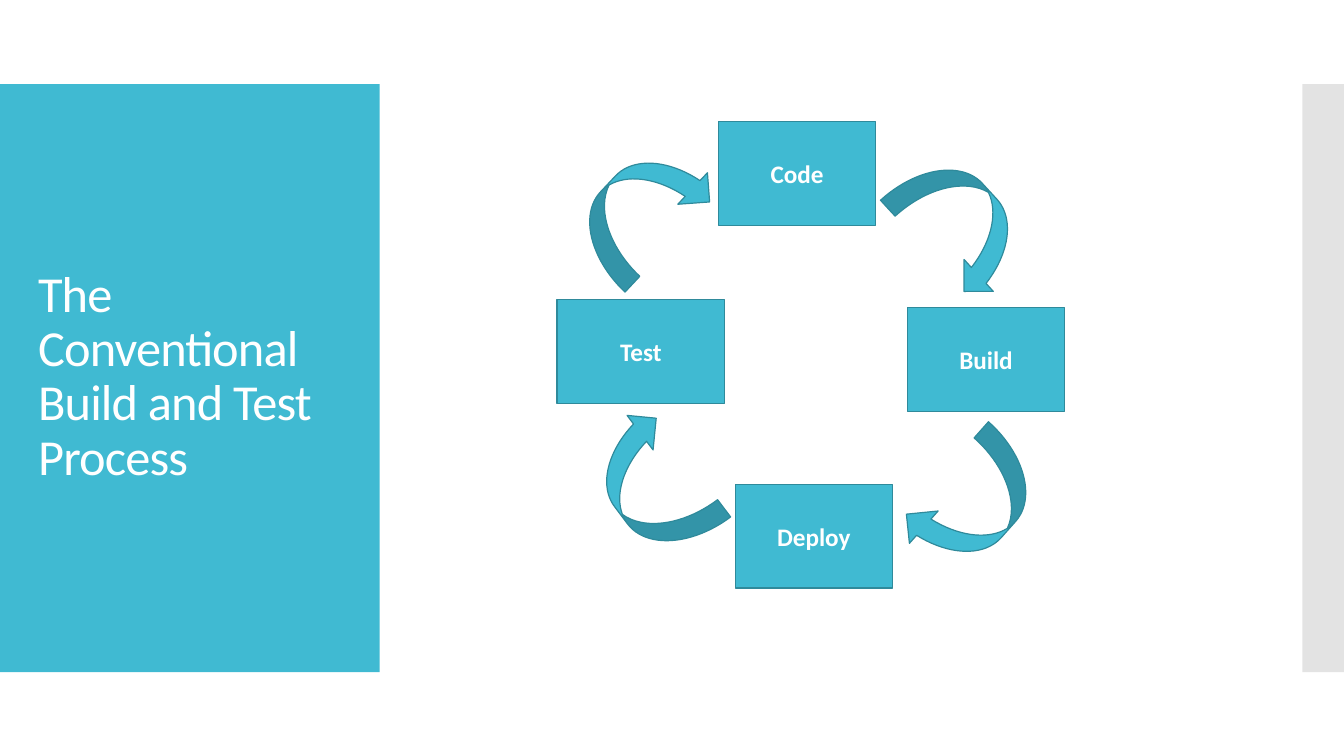
from lxml import etree
from pptx import Presentation
from pptx.dml.color import RGBColor
from pptx.enum.shapes import MSO_SHAPE
from pptx.enum.text import MSO_ANCHOR, PP_ALIGN
from pptx.oxml.ns import qn
from pptx.util import Cm, Pt

RECTANGLE = MSO_SHAPE.RECTANGLE
CURVED_ARROW = MSO_SHAPE.CURVED_DOWN_ARROW
MIDDLE = MSO_ANCHOR.MIDDLE
LEFT, CENTER = PP_ALIGN.LEFT, PP_ALIGN.CENTER

COLORS = {"teal": "40BAD2", "outline": "2F8A9B", "gray": "C8C8C8", "white": "FFFFFF"}
FONT = "Calibri"

PANEL_TOP, PANEL_HEIGHT = 2.12, 14.82
STEP_HEIGHT = 2.62
ARROW_WIDTH, ARROW_HEIGHT = 3.66, 2.18

# label, left, top, width
STEPS = [
    ("Code", 18.11, 3.06, 3.96),
    ("Deploy", 18.53, 12.2, 3.96),
    ("Build", 22.87, 7.75, 3.96),
    ("Test", 14.04, 7.55, 4.22),
]
# left, top, rotation
ARROWS = [
    (22.4, 4.57, 47.5),
    (22.68, 11.63, 131.6),
    (14.61, 11.13, 233),
    (14.38, 4.19, 313.2),
]


def color(name):
    return RGBColor.from_string(COLORS[name])


def write_text(shape, text, size, bold=False, align=LEFT, line_spacing=None, tracking=None):
    frame = shape.text_frame
    frame.word_wrap = True
    frame.vertical_anchor = MIDDLE
    para = frame.paragraphs[0]
    para.alignment = align
    if line_spacing:
        para.line_spacing = line_spacing
    span = para.add_run()
    span.text = text
    span.font.name = FONT
    span.font.size = Pt(size)
    span.font.bold = bold
    span.font.color.rgb = color("white")
    if tracking:
        span.font._element.set("spc", str(round(tracking * 100)))


class CycleSlide:
    """Holds the current slide and the style shared by its elements."""

    def __init__(self, deck):
        self.shapes = deck.slides.add_slide(deck.slide_layouts[6]).shapes

    def shape(self, kind, left, top, width, height, fill="teal", outline=None):
        shape = self.shapes.add_shape(kind, Cm(left), Cm(top), Cm(width), Cm(height))
        shape.shadow.inherit = False
        shape.fill.solid()
        shape.fill.fore_color.rgb = color(fill)
        if outline:
            shape.line.color.rgb = color(outline)
            shape.line.width = Pt(0.85)
        else:
            shape.line.fill.background()
        return shape

    def panel(self, left, width, fill, opacity=100):
        panel = self.shape(RECTANGLE, left, PANEL_TOP, width, PANEL_HEIGHT, fill)
        if opacity < 100:
            fill_color = panel._element.spPr.find(qn("a:solidFill"))[0]
            etree.SubElement(fill_color, qn("a:alpha"), val=str(opacity * 1000))

    def title(self, text):
        box = self.shapes.add_textbox(Cm(0.71), Cm(3.12), Cm(8.18), Cm(12.78))
        write_text(box, text, 36, line_spacing=0.9, tracking=-0.6)

    def step(self, label, left, top, width):
        box = self.shape(RECTANGLE, left, top, width, STEP_HEIGHT, outline="outline")
        write_text(box, label, 18, bold=True, align=CENTER)

    def arrow(self, left, top, rotation):
        arrow = self.shape(CURVED_ARROW, left, top, ARROW_WIDTH, ARROW_HEIGHT, outline="outline")
        arrow.rotation = rotation


def main():
    deck = Presentation()
    deck.slide_width, deck.slide_height = Cm(33.87), Cm(19.05)
    slide = CycleSlide(deck)
    slide.panel(0, 9.57, "teal")
    slide.panel(32.82, 1.05, "gray", opacity=50)
    slide.title("The Conventional Build and Test Process")
    for step in STEPS:
        slide.step(*step)
    for arrow in ARROWS:
        slide.arrow(*arrow)
    deck.save("out.pptx")


if __name__ == "__main__":
    main()
